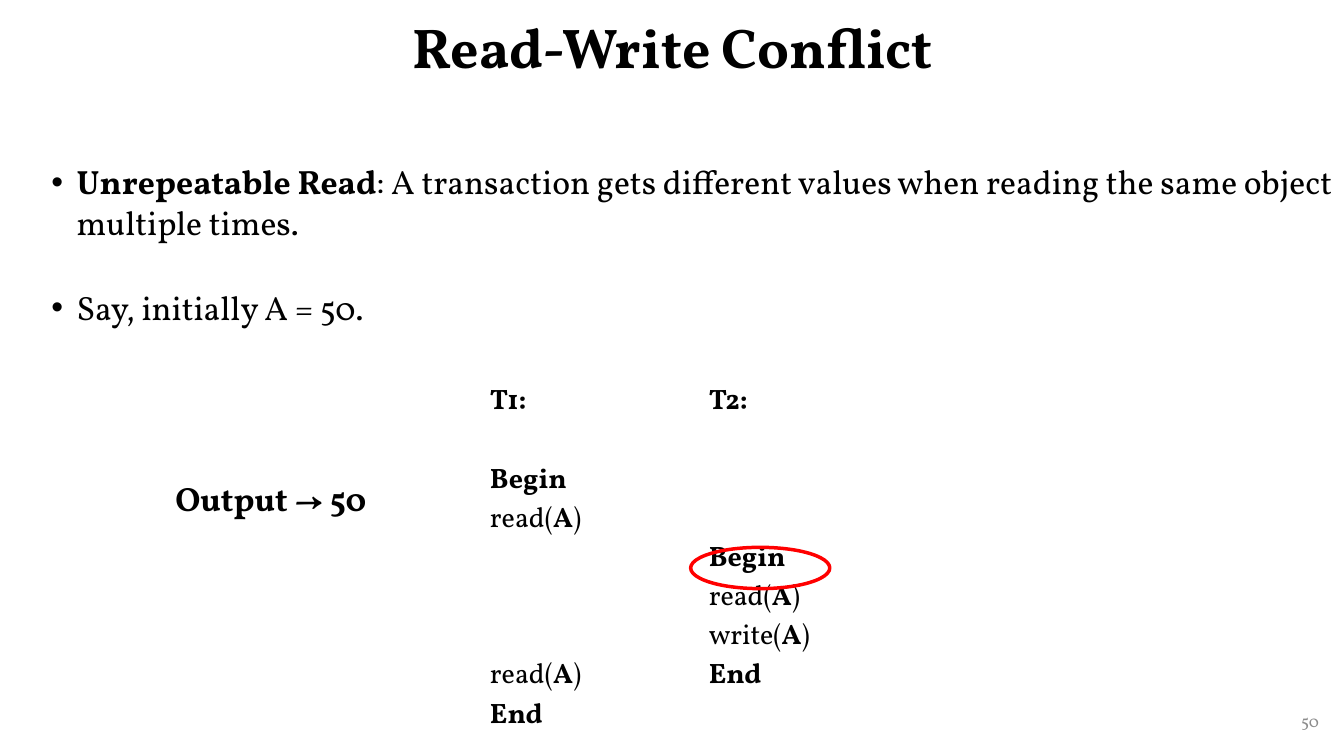
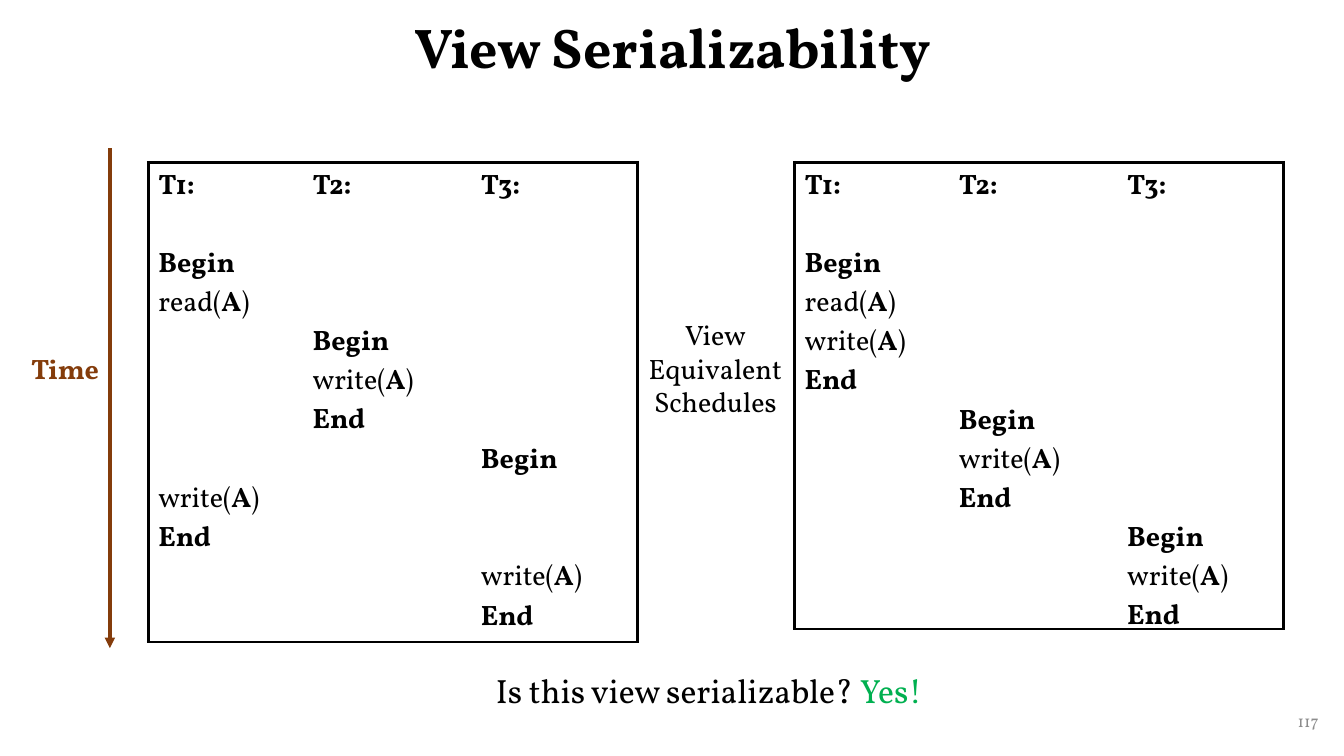
from lxml import etree
from pptx import Presentation
from pptx.dml.color import RGBColor
from pptx.enum.shapes import MSO_CONNECTOR, MSO_SHAPE
from pptx.enum.text import MSO_ANCHOR as ANCHOR, MSO_AUTO_SIZE as AUTO, PP_ALIGN as ALIGN
from pptx.oxml.ns import qn
from pptx.util import Inches, Pt

COLORS = {
    "text": "000000",
    "number": "8C8C8C",
    "circle": "FF0000",
    "time": "843C0B",
    "yes": "00B050",
}
FONT = "Vollkorn"
TITLE_LAYOUT, BODY_LAYOUT = 5, 1
STEP_PITCH = 28  # points from one step of a schedule to the next
BORDER = 2.25


def rgb(name):
    return RGBColor.from_string(COLORS[name])


def write(tf, lines, size=20, color="text", bold=False, align=ALIGN.LEFT,
          spaces=None, line_spacing=None, mark=None):
    """Fill tf with one paragraph per line; parts between * take the mark format."""
    mark = mark or {"bold": True}
    for i, line in enumerate(lines):
        p = tf.paragraphs[0] if i == 0 else tf.add_paragraph()
        p.alignment = align
        p.line_spacing = line_spacing
        p.space_before = Pt(spaces[i] if spaces else 0)
        for j, part in enumerate(line.split("*")):
            if not part:
                continue
            style = {"color": color, "bold": bold}
            if j % 2:
                style.update(mark)
            r = p.add_run()
            r.text = part
            r.font.name, r.font.size = FONT, Pt(size)
            r.font.bold = style["bold"]
            r.font.color.rgb = rgb(style["color"])


def place(sp, left, top, width, height):
    sp.left, sp.top = Inches(left), Inches(top)
    sp.width, sp.height = Inches(width), Inches(height)


def set_borders(cell, sides):
    """Draw the named sides (from L, R, T, B) of a cell and clear the others."""
    tc_pr = cell._tc.get_or_add_tcPr()
    for side in "LRTB":
        ln = etree.SubElement(tc_pr, qn(f"a:ln{side}"), w=str(Pt(BORDER)))
        if side in sides:
            fill = etree.SubElement(ln, qn("a:solidFill"))
            etree.SubElement(fill, qn("a:srgbClr"), val=COLORS["text"])
        else:
            etree.SubElement(ln, qn("a:noFill"))


class Deck:
    def __init__(self):
        self.prs = Presentation()
        self.prs.slide_width, self.prs.slide_height = Inches(13.33), Inches(7.5)
        self.slide = None

    def new_slide(self, title, number, layout=TITLE_LAYOUT):
        self.slide = self.prs.slides.add_slide(self.prs.slide_layouts[layout])
        sp = self.slide.shapes.title
        place(sp, 0.92, 0, 11.5, 0.99)
        tf = sp.text_frame
        tf.auto_size, tf.vertical_anchor = AUTO.NONE, ANCHOR.MIDDLE
        write(tf, [title], size=40, bold=True, align=ALIGN.CENTER, line_spacing=0.9)
        self.text([str(number)], 10.18, 6.95, 3, 0.4, grow=False, anchor=ANCHOR.MIDDLE,
                  size=12, color="number", align=ALIGN.RIGHT)

    def bullets(self, lines, left, top, width, height, gap):
        sp = self.slide.placeholders[1]
        place(sp, left, top, width, height)
        tf = sp.text_frame
        tf.auto_size, tf.vertical_anchor = AUTO.NONE, ANCHOR.TOP
        write(tf, lines, size=24, spaces=[0] + [gap] * (len(lines) - 1))
        for p in tf.paragraphs:
            p_pr = p._p.get_or_add_pPr()
            p_pr.set("marL", str(Inches(0.25)))
            p_pr.set("indent", str(Inches(-0.25)))

    def text(self, lines, left, top, width, height, wrap=True, grow=True,
             anchor=ANCHOR.TOP, **style):
        sp = self.slide.shapes.add_textbox(
            Inches(left), Inches(top), Inches(width), Inches(height))
        tf = sp.text_frame
        tf.word_wrap, tf.vertical_anchor = wrap, anchor
        tf.auto_size = AUTO.SHAPE_TO_FIT_TEXT if grow else AUTO.NONE
        write(tf, lines, **style)

    def schedule(self, columns, left, top, widths, height, framed=True):
        """Add a table with a column per transaction; a column maps step to text."""
        table = self.slide.shapes.add_table(
            1, len(columns), Inches(left), Inches(top),
            Inches(sum(widths)), Inches(height)).table
        table.first_row = table.horz_banding = False
        table.rows[0].height = Inches(height)
        last = len(columns) - 1
        for i, (column, width) in enumerate(zip(columns, widths)):
            table.columns[i].width = Inches(width)
            cell = table.cell(0, i)
            sides = "TB" + "L" * (i == 0) + "R" * (i == last)
            set_borders(cell, sides if framed else "")
            cell.fill.background()
            cell.margin_top, cell.margin_bottom = Inches(0.05), 0
            steps = list(column)
            spaces = [0] + [STEP_PITCH * (b - a - 1) for a, b in zip(steps, steps[1:])]
            write(cell.text_frame, column.values(), spaces=spaces)

    def ellipse(self, left, top, width, height, color):
        sp = self.slide.shapes.add_shape(
            MSO_SHAPE.OVAL, Inches(left), Inches(top), Inches(width), Inches(height))
        sp.shadow.inherit = False
        sp.fill.background()
        sp.line.color.rgb, sp.line.width = rgb(color), Pt(2.5)

    def arrow(self, x1, y1, x2, y2, color):
        line = self.slide.shapes.add_connector(
            MSO_CONNECTOR.STRAIGHT, Inches(x1), Inches(y1), Inches(x2), Inches(y2))
        line.line.color.rgb, line.line.width = rgb(color), Pt(2.5)
        etree.SubElement(line.line._get_or_add_ln(), qn("a:tailEnd"), type="triangle")
        etree.SubElement(line._element.spPr, qn("a:effectLst"))


BEGIN, READ, WRITE, END = "*Begin*", "read(*A*)", "write(*A*)", "*End*"


def transaction(number, steps):
    return {0: f"*T{number}:*", **steps}


def read_write_conflict(deck):
    deck.new_slide("Read-Write Conflict", 50, BODY_LAYOUT)
    deck.bullets([
        "*Unrepeatable Read*: A transaction gets different values when reading "
        "the same object multiple times.",
        "Say, initially A = 50.",
    ], 0.41, 1.55, 12.92, 1.94, gap=32)
    deck.schedule([
        transaction(1, {2: BEGIN, 3: READ, 7: READ, 8: END}),
        transaction(2, {4: BEGIN, 5: READ, 6: WRITE, 7: END}),
    ], 4.76, 3.75, [2.17, 2.05], 3.36, framed=False)
    deck.ellipse(6.85, 5.43, 1.38, 0.41, "circle")
    deck.text(["Output → 50"], 1.64, 4.69, 2.63, 0.5, size=24, bold=True)


def view_serializability(deck):
    deck.new_slide("View Serializability", 117)
    top, widths = 1.61, [1.53, 1.67, 1.65]
    deck.schedule([
        transaction(1, {2: BEGIN, 3: READ, 8: WRITE, 9: END}),
        transaction(2, {4: BEGIN, 5: WRITE, 6: END}),
        transaction(3, {7: BEGIN, 10: WRITE, 11: END}),
    ], 1.47, top, widths, 4.76)
    deck.arrow(1.09, 1.47, 1.09, 6.43, "time")
    deck.text(["Time"], 0.21, 3.44, 0.89, 0.44, color="time", bold=True)
    deck.text(["Is this view serializable? *Yes!*"], 4.82, 6.6, 4.85, 0.5,
              size=24, mark={"color": "yes"})
    deck.schedule([
        transaction(1, {2: BEGIN, 3: READ, 4: WRITE, 5: END}),
        transaction(2, {6: BEGIN, 7: WRITE, 8: END}),
        transaction(3, {9: BEGIN, 10: WRITE, 11: END}),
    ], 7.88, top, widths, 4.63)
    deck.text(["View", "Equivalent", "Schedules"], 6.29, 3.1, 1.61, 1.11,
              wrap=False, align=ALIGN.CENTER)


def main():
    deck = Deck()
    read_write_conflict(deck)
    view_serializability(deck)
    deck.prs.save("out.pptx")


if __name__ == "__main__":
    main()
